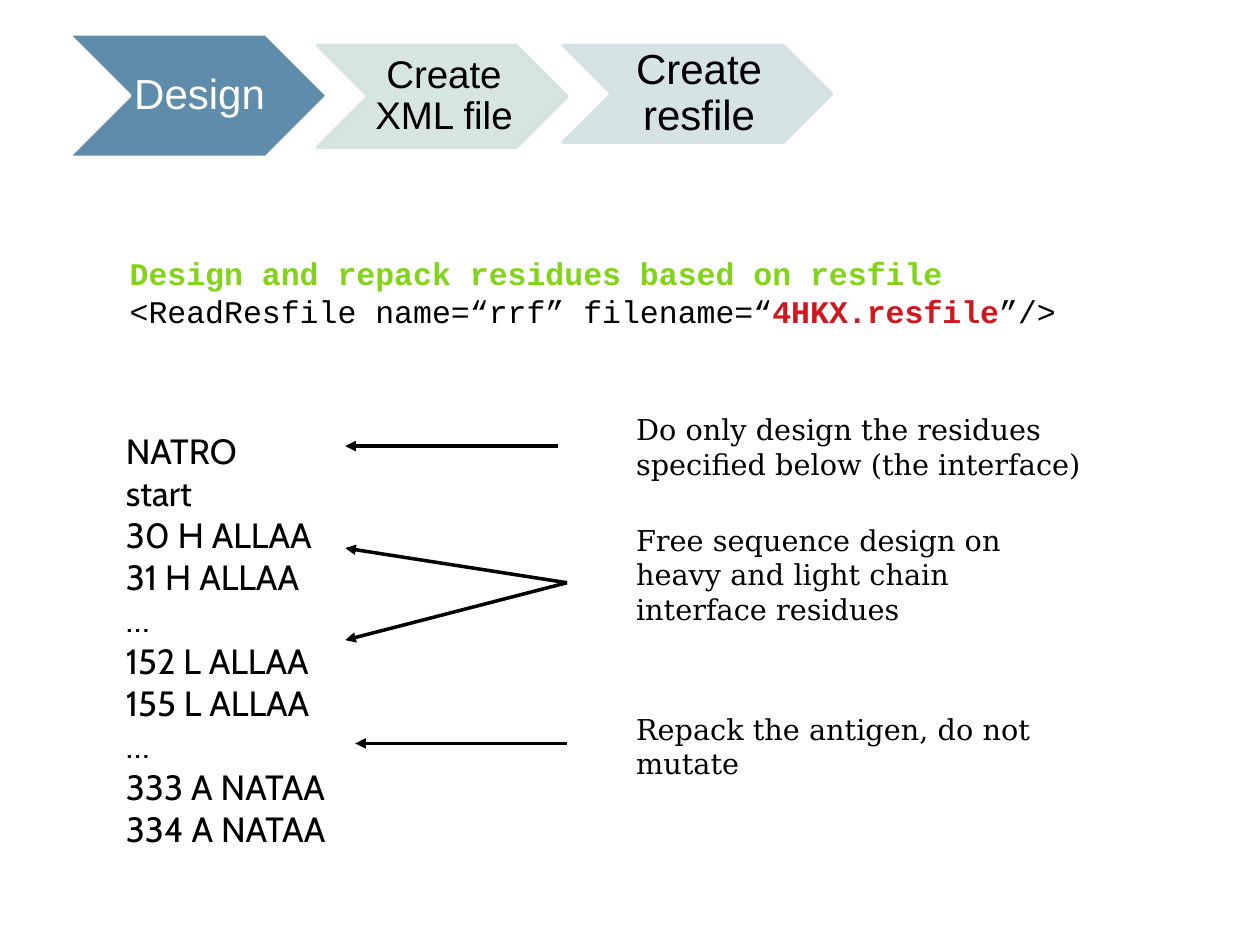
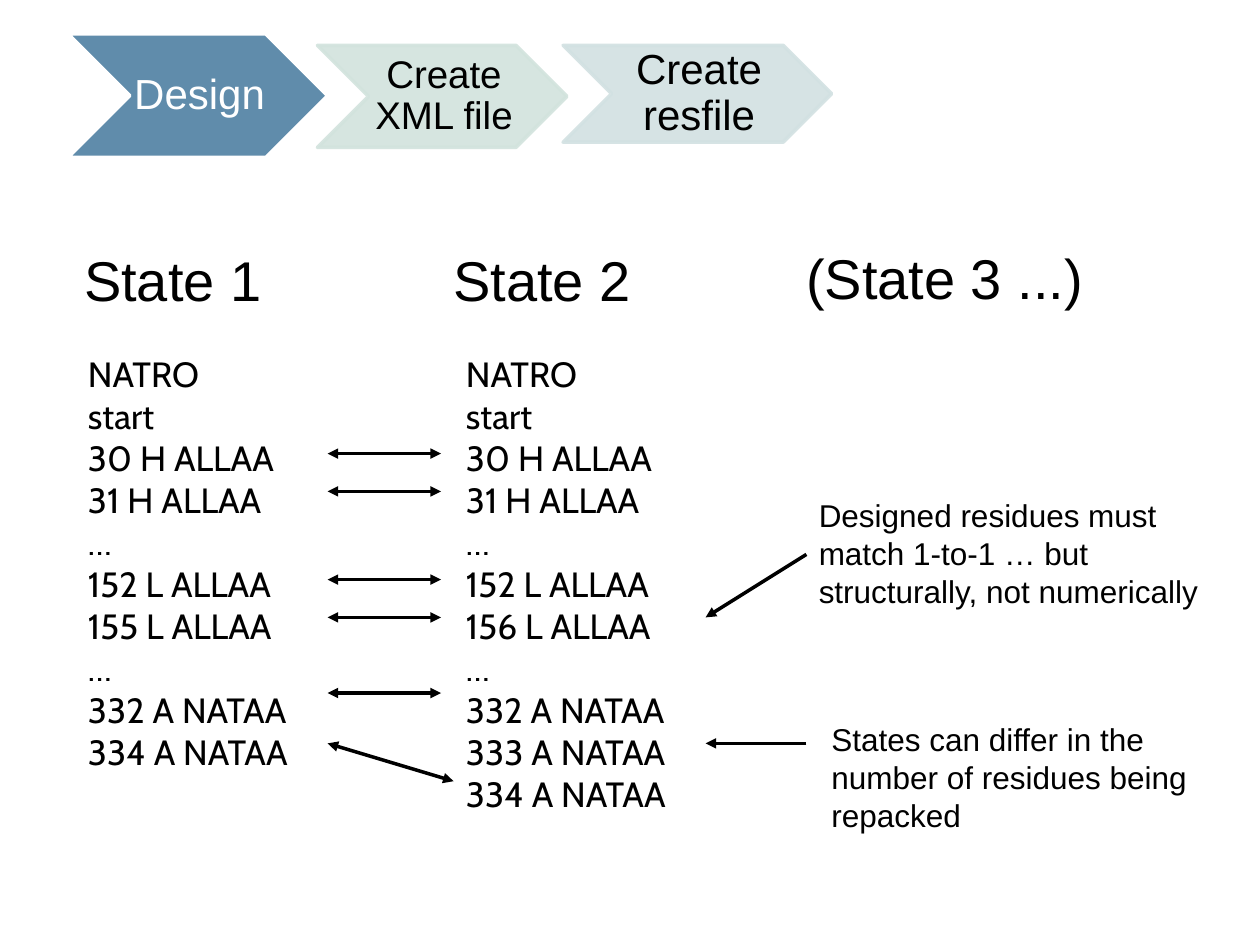
"""Build two slides on design resfiles for one or several states."""
from lxml import etree
from pptx import Presentation
from pptx.dml.color import RGBColor
from pptx.enum.shapes import MSO_CONNECTOR, MSO_SHAPE
from pptx.enum.text import MSO_ANCHOR, MSO_AUTO_SIZE, PP_ALIGN
from pptx.oxml.ns import qn
from pptx.util import Pt

CHEVRON = MSO_SHAPE.CHEVRON
STRAIGHT = MSO_CONNECTOR.STRAIGHT
MIDDLE = MSO_ANCHOR.MIDDLE
GROW = MSO_AUTO_SIZE.SHAPE_TO_FIT_TEXT
CENTER = PP_ALIGN.CENTER

COLORS = {
    "black": "000000",
    "white": "FFFFFF",
    "blue": "608CAB",
    "mint": "D2E3DD",
    "mist": "D2E1E2",
    "green": "81D41A",
    "red": "CE181E",
}
SANS, LIST, CODE, SERIF = "Arial", "Cabin", "Courier New", "DejaVu Serif"

STEPS = [
    ("Design", (38.9, 19.4, 148.3, 70.6), "blue", "white", 24, "white", 100),
    ("Create XML file", (181.4, 25.9, 142.6, 58.3), "mint", "mint", 22, "black", 90),
    ("Create resfile", (321.8, 25.9, 153.4, 55.4), "mist", "mist", 24, "black", 90),
]
HEAD = ["NATRO", "start", "30 H ALLAA", "31 H ALLAA", "…", "152 L ALLAA"]


def rgb(name):
    """Return the named colour."""
    return RGBColor.from_string(COLORS[name])


def style(run, size, face, color="black", bold=False):
    """Format one run."""
    font = run.font
    font.size, font.name, font.bold = Pt(size), face, bold
    font.color.rgb = rgb(color)


def add_box(slide, box):
    """Add an empty wrapping text box and return its frame."""
    frame = slide.shapes.add_textbox(*map(Pt, box)).text_frame
    frame.word_wrap = True
    frame.auto_size = GROW
    return frame


def add_text(slide, box, lines, size, face):
    """Add a text box with one paragraph for each line."""
    frame = add_box(slide, box)
    frame.text = "\n".join(lines)
    for para in frame.paragraphs:
        style(para.runs[0], size, face)


def add_code(slide, box, rows):
    """Add code whose rows are lists of text, colour and weight."""
    frame = add_box(slide, box)
    for i, row in enumerate(rows):
        para = frame.add_paragraph() if i else frame.paragraphs[0]
        for text, color, bold in row:
            run = para.add_run()
            run.text = text
            style(run, 18, CODE, color, bold)


def add_step(slide, text, box, fill, edge, size, color, alpha):
    """Add one chevron of the step band."""
    shape = slide.shapes.add_shape(CHEVRON, *map(Pt, box))
    shape.shadow.inherit = False
    shape.fill.solid()
    shape.fill.fore_color.rgb = rgb(fill)
    shape.line.color.rgb = rgb(edge)
    shape.line.width = Pt(2)
    if alpha < 100:
        for tint in list(shape.element.spPr.iter(qn("a:srgbClr"))):
            etree.SubElement(tint, qn("a:alpha"), val=str(alpha * 1000))
    frame = shape.text_frame
    frame.word_wrap = True
    frame.vertical_anchor = MIDDLE
    frame.margin_left, frame.margin_right = Pt(2), Pt(0)
    frame.margin_top = frame.margin_bottom = Pt(1.5)
    frame.text = text
    para = frame.paragraphs[0]
    para.alignment, para.line_spacing = CENTER, 0.9
    style(para.runs[0], size, SANS, color)


def add_arrow(slide, start, end, both=False):
    """Add a hairline with a head at its end, or at both ends."""
    line = slide.shapes.add_connector(STRAIGHT, *map(Pt, start + end))
    line.line.color.rgb = rgb("black")
    line.line.width = Pt(0)
    props = line.element.spPr
    stroke = props.find(qn("a:ln"))
    for tag in ["a:headEnd", "a:tailEnd"] if both else ["a:tailEnd"]:
        etree.SubElement(stroke, qn(tag), type="triangle")
    etree.SubElement(props, qn("a:effectLst"))


def add_slide(deck):
    """Add a blank slide with the step band."""
    slide = deck.slides.add_slide(deck.slide_layouts[6])
    for step in STEPS:
        add_step(slide, *step)
    return slide


def build_file(deck):
    """Explain the lines of one resfile."""
    slide = add_slide(deck)
    add_code(slide, (67, 141.8, 566.6, 81.4), [
        [("Design and repack residues based on resfile", "green", True)],
        [("<ReadResfile name=“rrf” filename=“", "black", False),
         ("4HKX.resfile", "red", True),
         ("”/>", "black", False)],
    ])
    rows = HEAD + ["155 L ALLAA", "…", "333 A NATAA", "334 A NATAA"]
    add_text(slide, (64.8, 241.9, 631.4, 298), rows, 20, LIST)
    notes = [
        (231.8, 51.8, "Do only design the residues specified below (the interface)"),
        (295.2, 74.9, "Free sequence design on heavy and light chain interface residues"),
        (403.2, 51.8, "Repack the antigen, do not mutate"),
    ]
    for top, high, text in notes:
        add_text(slide, (356.4, top, 268.6, high), [text], 16.4, SERIF)
    add_arrow(slide, (318.6, 254.9), (197.3, 254.9))
    for y in (313.2, 365.8):
        add_arrow(slide, (324, 333), (197.3, y))
    add_arrow(slide, (324, 424.8), (203, 424.8))


def build_states(deck):
    """Compare the resfiles of several states."""
    slide = add_slide(deck)
    one = HEAD + ["155 L ALLAA", "…", "332 A NATAA", "334 A NATAA"]
    two = HEAD + ["156 L ALLAA", "…", "332 A NATAA", "333 A NATAA", "334 A NATAA"]
    for left, high, rows in [(43.2, 308.2, one), (259.2, 335.5, two)]:
        add_text(slide, (left, 198, 165.6, high), rows, 20, LIST)
    titles = [
        ("State 1", (41, 136.8, 153.4, 51.8)),
        ("State 2", (252, 136.8, 153.4, 51.8)),
        ("(State 3 ...)", (453.6, 135.4, 180, 44.6)),
    ]
    for text, box in titles:
        add_text(slide, box, [text], 32, SANS)
    for y in (259.2, 280.8, 331.2, 352.8, 396):
        add_arrow(slide, (187.2, y), (252, y), both=True)
    add_arrow(slide, (187.2, 424.8), (259.2, 446.4), both=True)
    for y, end in [(316.8, 352.8), (424.8, 424.8)]:
        add_arrow(slide, (460.8, y), (403.2, end))
    notes = [
        ("Designed residues must match 1-to-1 … but structurally, not numerically",
         (460.8, 280.1, 244.8, 87.1)),
        ("States can differ in the number of residues being repacked",
         (468, 408.2, 223.2, 67.7)),
    ]
    for text, box in notes:
        add_text(slide, box, [text], 18, SANS)


def main():
    """Build and save the deck."""
    deck = Presentation()
    deck.slide_width, deck.slide_height = Pt(720), Pt(540)
    build_file(deck)
    build_states(deck)
    deck.save("out.pptx")


if __name__ == "__main__":
    main()
